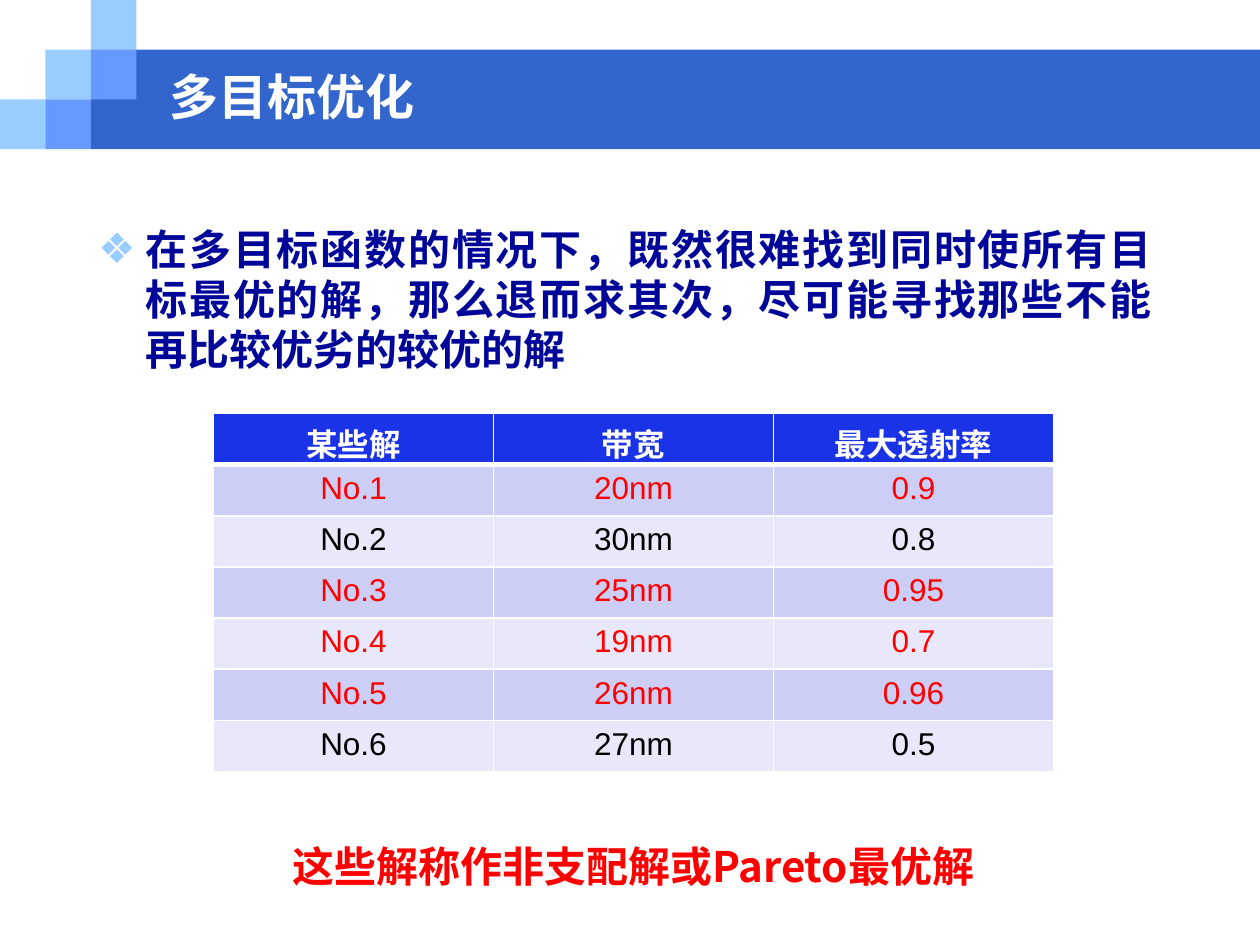
from lxml.etree import SubElement
from pptx import Presentation
from pptx.dml.color import RGBColor
from pptx.enum.shapes import MSO_SHAPE
from pptx.enum.text import MSO_ANCHOR, PP_ALIGN
from pptx.oxml.ns import qn
from pptx.util import Pt


def color(value):
    return RGBColor.from_string(value)


def style(paragraph, text, size, font, fill, bold, align):
    paragraph.text = text
    paragraph.alignment = align
    paragraph.font.size = Pt(size)
    paragraph.font.name = font
    paragraph.font.bold = bold
    paragraph.font.color.rgb = color(fill)


deck = Presentation()
deck.slide_width, deck.slide_height = Pt(720), Pt(540)
slide = deck.slides.add_slide(deck.slide_layouts[6])

step_x, step_y = 26, 28.4
blocks = [(2 * step_x, step_y, 720 - 2 * step_x, 2 * step_y, "3366CC")]
for column, row, fill in [(0, 2, "99CCFF"), (1, 1, "99CCFF"), (2, 0, "99CCFF"),
                          (2, 1, "6699FF"), (1, 2, "6699FF")]:
    blocks.append((column * step_x, row * step_y, step_x, step_y, fill))
for left, top, width, height, fill in blocks:
    block = slide.shapes.add_shape(MSO_SHAPE.RECTANGLE, Pt(left), Pt(top), Pt(width), Pt(height))
    block.shadow.inherit = False
    block.fill.solid()
    block.fill.fore_color.rgb = color(fill)
    block.line.fill.background()

title = slide.shapes.add_textbox(Pt(90), Pt(36), Pt(582), Pt(38.2)).text_frame
title.word_wrap = True
title.vertical_anchor = MSO_ANCHOR.MIDDLE
style(title.paragraphs[0], "多目标优化", 28, "Arial", "FFFFFF", True, PP_ALIGN.LEFT)

statement = slide.shapes.add_textbox(Pt(49), Pt(121.7), Pt(616.3), Pt(334)).text_frame
statement_line = statement.paragraphs[0]
style(statement_line,
      "在多目标函数的情况下，既然很难找到同时使所有目标最优的解，那么退而求其次，尽可能寻找那些不能再比较优劣的较优的解",
      24, "DejaVu Sans", "000798", True, PP_ALIGN.JUSTIFY)

conclusion = slide.shapes.add_textbox(Pt(123.8), Pt(473.8), Pt(476), Pt(36)).text_frame
style(conclusion.paragraphs[0], "这些解称作非支配解或Pareto最优解",
      24, "Noto Sans CJK SC", "FF0000", True, PP_ALIGN.CENTER)

for frame in (statement, conclusion):
    frame.word_wrap = True
    frame.margin_top = Pt(6.4)
    frame.paragraphs[0].line_spacing = Pt(28.6)

bullet = statement_line._p.get_or_add_pPr()
bullet.set("marL", str(Pt(27)))
bullet.set("indent", str(Pt(-27)))
bullet_color = SubElement(bullet, qn("a:buClr"))
SubElement(bullet_color, qn("a:srgbClr"), val="99CCFF")
SubElement(bullet, qn("a:buFont"), typeface="DejaVu Sans")
SubElement(bullet, qn("a:buChar"), char="❖")
bullet.append(bullet.find(qn("a:defRPr")))

solutions = [
    ("某些解", "带宽", "最大透射率"),
    ("No.1", "20nm", "0.9"),
    ("No.2", "30nm", "0.8"),
    ("No.3", "25nm", "0.95"),
    ("No.4", "19nm", "0.7"),
    ("No.5", "26nm", "0.96"),
    ("No.6", "27nm", "0.5"),
]
dominated = {"No.2", "No.6"}
row_height = 29.2
table = slide.shapes.add_table(len(solutions), 3, Pt(122), Pt(236.4), Pt(480),
                               Pt(row_height * len(solutions))).table
for column in table.columns:
    column.width = Pt(160)

for r, values in enumerate(solutions):
    table.rows[r].height = Pt(row_height)
    header = r == 0
    if header:
        fill, ink = "1B33E7", "FFFFFF"
    else:
        fill = "CDCEF6" if r % 2 else "E8E8FA"
        ink = "000000" if values[0] in dominated else "FF0000"
    borders = {"lnL": 1, "lnR": 1, "lnT": 3 if r == 1 else 1, "lnB": 3 if header else 1}
    for c, value in enumerate(values):
        cell = table.cell(r, c)
        style(cell.text_frame.paragraphs[0], value, 18, "Arial", ink, header, PP_ALIGN.CENTER)
        properties = cell._tc.get_or_add_tcPr()
        for side, width in borders.items():
            border = SubElement(properties, qn("a:" + side), w=str(Pt(width)))
            SubElement(SubElement(border, qn("a:solidFill")), qn("a:srgbClr"), val="FFFFFF")
        cell.fill.solid()
        cell.fill.fore_color.rgb = color(fill)

deck.save("out.pptx")
